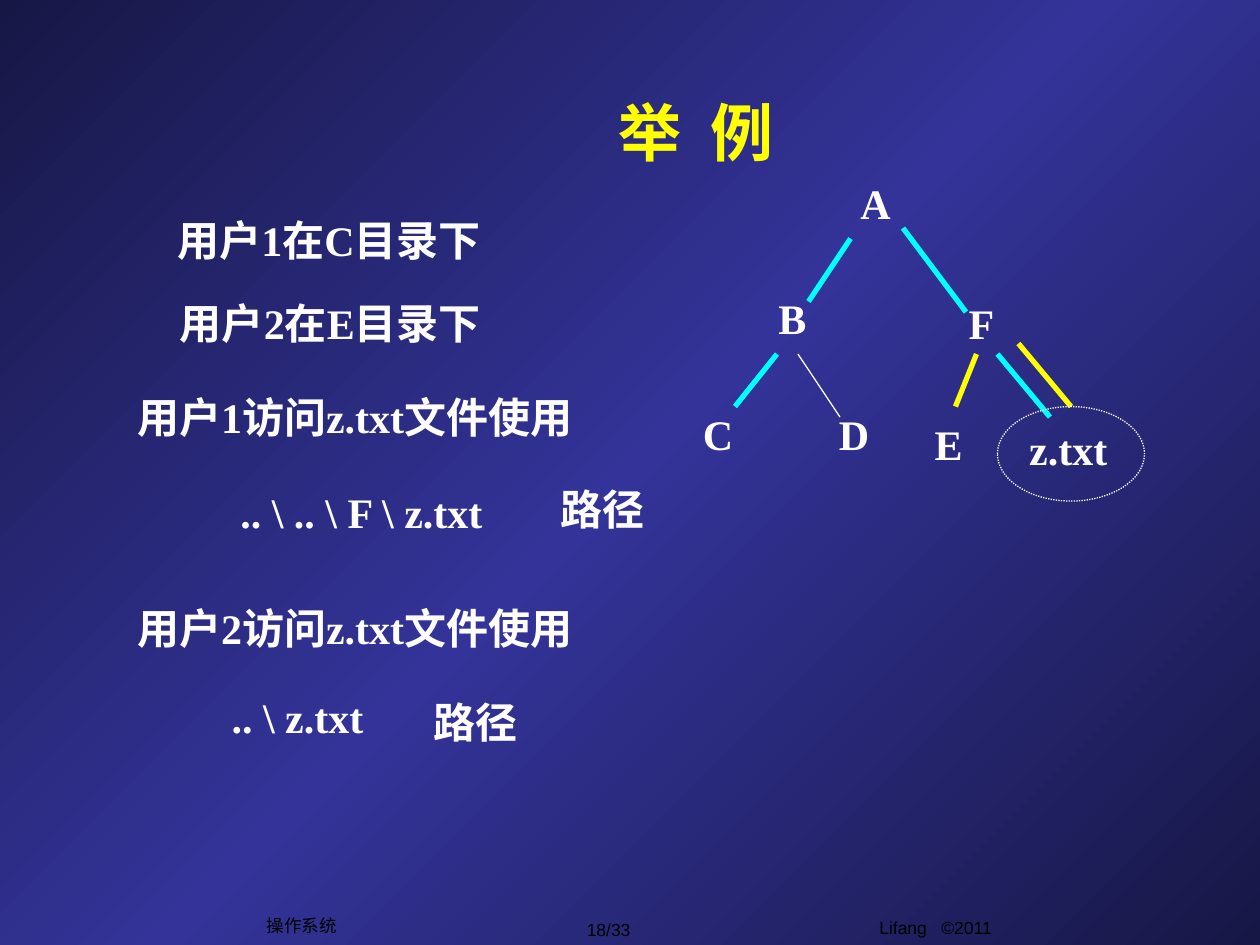
from lxml import etree
from pptx import Presentation
from pptx.dml.color import RGBColor
from pptx.enum.dml import MSO_LINE
from pptx.enum.shapes import MSO_CONNECTOR, MSO_SHAPE
from pptx.enum.text import MSO_ANCHOR, MSO_AUTO_SIZE, PP_ALIGN
from pptx.oxml.ns import qn
from pptx.util import Inches, Pt

STRAIGHT = MSO_CONNECTOR.STRAIGHT
OVAL = MSO_SHAPE.OVAL
DOTTED = MSO_LINE.ROUND_DOT
TOP, MIDDLE = MSO_ANCHOR.TOP, MSO_ANCHOR.MIDDLE
LEFT, CENTER = PP_ALIGN.LEFT, PP_ALIGN.CENTER
FIT, FIXED = MSO_AUTO_SIZE.SHAPE_TO_FIT_TEXT, MSO_AUTO_SIZE.NONE

COLORS = {
    "edge": "171746", "band": "333399", "text": "FFFFFF",
    "footer": "000000", "user1": "00FFFF", "user2": "FFFF00",
}
BACKGROUND_STOPS = [(0, "edge"), (50, "band"), (100, "edge")]

TITLE = ("举  例", 4.81, 0.76, 2.17, 0.56)
FOOTERS = [
    ("Lifang   ©2011", 5.84, 7.23, 3.17, 0.35, TOP),
    ("18/33", 4.32, 7.24, 1.02, 0.27, MIDDLE),
    ("操作系统", 2.02, 7.21, 0.75, 0.27, MIDDLE),
]
STATEMENTS = [
    ("用户1在C目录下", 1.31, 1.65, 2.95),
    ("用户2在E目录下", 1.33, 2.31, 2.95),
    ("用户1访问z.txt文件使用", 0.99, 3.06, 4),
    (".. \\ .. \\ F \\ z.txt", 1.81, 3.81, 2.16),
    ("路径", 4.35, 3.79, 0.92),
    ("用户2访问z.txt文件使用", 0.99, 4.73, 4),
    (".. \\ z.txt", 1.74, 5.44, 1.28),
    ("路径", 3.34, 5.48, 0.92),
]
NODES = [
    ("A", 6.73, 1.36, 0.44),
    ("B", 6.08, 2.27, 0.42),
    ("F", 7.59, 2.31, 0.4),
    ("C", 5.48, 3.19, 0.44),
    ("D", 6.56, 3.19, 0.44),
    ("E", 7.32, 3.27, 0.42),
    ("z.txt", 8.07, 3.31, 0.84),
]
LABEL_HEIGHT = 0.5

TREE_TOP = 1.81
GRID = 1 / 12
EDGES = [
    ((76, 12), (80, 18), "text", 0.75),
    ((74, 12), (70, 17), "user1", 3),
    ((81, 1), (77, 7), "user1", 3),
    ((86, 0), (92, 8), "user1", 3),
    ((95, 12), (100, 18), "user1", 3),
    ((93, 12), (91, 17), "user2", 3),
    ((97, 11), (102, 17), "user2", 3),
]
FILE_RING = (95, 17, 14, 9)


def color(name):
    return RGBColor.from_string(COLORS[name])


def tree_point(column, row):
    return Inches(column * GRID), Inches(TREE_TOP + row * GRID)


def write_text(shape, text, size=24, font="Times New Roman", fill="text", bold=True,
               align=LEFT, anchor=TOP, wrap=False, auto_size=FIT):
    frame = shape.text_frame
    frame.word_wrap = wrap
    frame.auto_size = auto_size
    frame.vertical_anchor = anchor
    paragraph = frame.paragraphs[0]
    paragraph.alignment = align
    run = paragraph.add_run()
    run.text = text
    run.font.size = Pt(size)
    run.font.name = font
    run.font.bold = bold
    run.font.color.rgb = color(fill)


def add_box(slide, left, top, width, height):
    return slide.shapes.add_textbox(*map(Inches, (left, top, width, height)))


def paint_background(slide):
    fill = slide.background.fill
    fill.gradient()
    fill.gradient_angle = 135
    stops = next(slide.element.iter(qn("a:gsLst")))
    for stop in list(stops):
        stops.remove(stop)
    for position, name in BACKGROUND_STOPS:
        stop = etree.SubElement(stops, qn("a:gs"), pos=str(position * 1000))
        etree.SubElement(stop, qn("a:srgbClr"), val=COLORS[name])


def add_edge(slide, start, end, line_color, width):
    edge = slide.shapes.add_connector(STRAIGHT, *tree_point(*start), *tree_point(*end))
    edge.line.color.rgb = color(line_color)
    edge.line.width = Pt(width)
    etree.SubElement(edge.element.spPr, qn("a:effectLst"))


def add_file_ring(slide):
    column, row, columns, rows = FILE_RING
    ring = slide.shapes.add_shape(OVAL, *tree_point(column, row),
                                  Inches(columns * GRID), Inches(rows * GRID))
    ring.shadow.inherit = False
    ring.fill.background()
    ring.line.color.rgb = color("text")
    ring.line.width = Pt(0.75)
    ring.line.dash_style = DOTTED


def main():
    presentation = Presentation()
    presentation.slide_width, presentation.slide_height = Inches(10), Inches(7.5)
    slide = presentation.slides.add_slide(presentation.slide_layouts[5])
    paint_background(slide)

    text, *place = TITLE
    title = slide.shapes.title
    title.left, title.top, title.width, title.height = map(Inches, place)
    write_text(title, text, size=36, fill="user2", anchor=MIDDLE, wrap=True, auto_size=FIXED)

    for text, left, top, width, height, anchor in FOOTERS:
        write_text(add_box(slide, left, top, width, height), text, size=10, font="Arial",
                   fill="footer", bold=False, align=CENTER, anchor=anchor,
                   wrap=anchor == TOP, auto_size=FIXED)
    for text, left, top, width in STATEMENTS + NODES:
        write_text(add_box(slide, left, top, width, LABEL_HEIGHT), text)
    for edge in EDGES:
        add_edge(slide, *edge)
    add_file_ring(slide)
    presentation.save("out.pptx")


if __name__ == "__main__":
    main()
